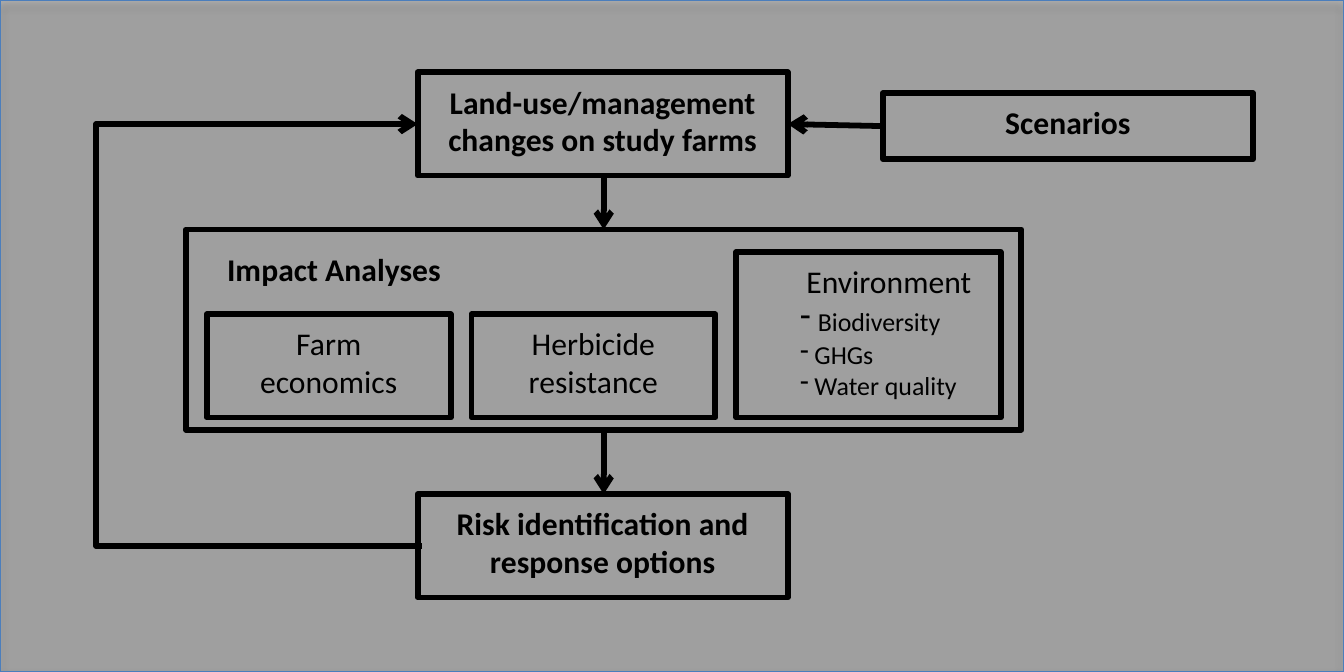
from dataclasses import dataclass
from typing import Any

from lxml.etree import SubElement
from pptx import Presentation
from pptx.dml.color import RGBColor
from pptx.enum.shapes import MSO_CONNECTOR, MSO_SHAPE
from pptx.enum.text import MSO_ANCHOR, MSO_AUTO_SIZE, PP_ALIGN
from pptx.oxml.ns import qn
from pptx.util import Inches, Pt


@dataclass(frozen=True)
class Theme:
    ink: RGBColor = RGBColor(0, 0, 0)
    edge: RGBColor = RGBColor(0x4B, 0x7E, 0xBC)
    font: str = "Calibri"
    body: float = 11
    small: float = 9
    stroke: float = 2
    thin: float = 0.75


THEME = Theme()
WIDTH, HEIGHT = 6.5, 3.25


@dataclass(frozen=True)
class Run:
    text: str
    size: float = THEME.body
    bold: bool = False


@dataclass(frozen=True)
class Para:
    runs: tuple[Run, ...]
    align: Any = PP_ALIGN.CENTER
    dash: bool = False
    indent: float = 0


@dataclass(frozen=True)
class Box:
    left: float
    top: float
    width: float
    height: float
    paras: tuple[Para, ...] = ()
    inset: float = 0.1


@dataclass(frozen=True)
class Arrow:
    start: tuple[float, float]
    end: tuple[float, float]


def plain(text: str, bold: bool = False, align: Any = PP_ALIGN.CENTER) -> tuple[Para, ...]:
    return (Para((Run(text, bold=bold),), align),)


def listed(*runs: Run) -> Para:
    return Para(runs, PP_ALIGN.LEFT, dash=True)


def apply(target: Any, values: dict[str, Any]) -> None:
    for name, value in values.items():
        setattr(target, name, value)


def child(parent: Any, tag: str, **values: Any) -> Any:
    return SubElement(parent, qn(tag), {key: str(value) for key, value in values.items()})


def write(frame: Any, box: Box) -> None:
    apply(frame, {
        "word_wrap": True,
        "auto_size": MSO_AUTO_SIZE.SHAPE_TO_FIT_TEXT,
        "vertical_anchor": MSO_ANCHOR.TOP,
        "margin_left": Inches(box.inset),
        "margin_top": Inches(0.05),
        "margin_right": Inches(0.1),
        "margin_bottom": Inches(0.08),
    })
    for index, item in enumerate(box.paras):
        para = frame.paragraphs[0] if index == 0 else frame.add_paragraph()
        para.alignment = item.align
        props = para._p.get_or_add_pPr()
        props.set("marL", str(Inches(item.indent)))
        props.set("indent", "0")
        if item.dash:
            child(props, "a:buChar", char="-")
        for part in item.runs:
            run = para.add_run()
            run.text = part.text
            apply(run.font, {"name": THEME.font, "size": Pt(part.size), "bold": part.bold})
            run.font.color.rgb = THEME.ink


def frame_of(box: Box) -> list[int]:
    return [Inches(side) for side in (box.left, box.top, box.width, box.height)]


def draw_box(slide: Any, box: Box) -> None:
    shape = slide.shapes.add_shape(MSO_SHAPE.RECTANGLE, *frame_of(box))
    shape.shadow.inherit = False
    shape.fill.background()
    shape.line.color.rgb = THEME.ink
    shape.line.width = Pt(THEME.stroke)
    if box.paras:
        write(shape.text_frame, box)


def draw_label(slide: Any, box: Box) -> None:
    write(slide.shapes.add_textbox(*frame_of(box)).text_frame, box)


def draw_arrow(slide: Any, arrow: Arrow, kind: Any = MSO_CONNECTOR.STRAIGHT) -> Any:
    ends = [Inches(value) for value in (*arrow.start, *arrow.end)]
    link = slide.shapes.add_connector(kind, *ends)
    link.line.color.rgb = THEME.ink
    link.line.width = Pt(THEME.stroke)
    child(link.line._get_or_add_ln(), "a:tailEnd", type="arrow")
    child(link._element.spPr, "a:effectLst")
    return link


def draw_loop(slide: Any, arrow: Arrow, bend: float) -> None:
    turned = Arrow(arrow.end, arrow.start)
    link = draw_arrow(slide, turned, MSO_CONNECTOR.ELBOW)
    shape = link._element.spPr
    shape.find(qn("a:xfrm")).set("rot", "10800000")
    ratio = (arrow.start[0] - bend) / (arrow.start[0] - arrow.end[0])
    guides = shape.find(qn("a:prstGeom")).find(qn("a:avLst"))
    child(guides, "a:gd", name="adj1", fmla=f"val {round(ratio * 100000)}")


def draw_shade(slide: Any) -> None:
    shade = slide.shapes.add_shape(MSO_SHAPE.RECTANGLE, *frame_of(Box(0, 0, WIDTH, HEIGHT)))
    shade.shadow.inherit = False
    shade.fill.solid()
    shade.fill.fore_color.rgb = THEME.ink
    shade.line.color.rgb = THEME.edge
    shade.line.width = Pt(THEME.thin)
    props = shade._element.spPr
    tint = props.find(qn("a:solidFill")).find(qn("a:srgbClr"))
    child(tint, "a:alpha", val=30000)
    cast = child(props.find(qn("a:effectLst")), "a:outerShdw", blurRad=Pt(3.1),
                 dist=Pt(1.8), dir=5400000, rotWithShape=0)
    child(child(cast, "a:srgbClr", val=THEME.ink), "a:alpha", val=35000)


SCENE = Box(4.27, 0.45, 1.79, 0.32, plain("Scenarios", True))
STEPS = [
    Box(2.02, top, 1.79, 0.5, plain(text, True))
    for top, text in ((0.35, "Land-use/management changes on study farms"),
                      (2.39, "Risk identification and response options"))
]
THEMES = [
    Box(1 + 1.28 * index, 1.52, 1.18, 0.5, plain(text))
    for index, text in enumerate(("Farm economics", "Herbicide resistance"))
]
NATURE = Box(3.56, 1.22, 1.28, 0.8, (
    Para((Run("Environment"),), PP_ALIGN.LEFT, indent=0.03),
    listed(Run(" "), Run("Biodiversity", THEME.small)),
    listed(Run(" GHGs", THEME.small)),
    listed(Run(" Water quality", THEME.small)),
), inset=0.31)
GROUP = Box(0.9, 1.11, 4.04, 0.97)
LABEL = Box(1, 1.16, 2.35, 0.32, plain("Impact Analyses", True, PP_ALIGN.LEFT))
ARROWS = [
    Arrow((4.27, 0.61), (3.81, 0.6)),
    Arrow((2.92, 0.85), (2.92, 1.11)),
    Arrow((2.92, 2.09), (2.92, 2.39)),
]
LOOP = Arrow((2.04, 2.64), (2.02, 0.6))


def main() -> None:
    deck = Presentation()
    apply(deck, {"slide_width": Inches(WIDTH), "slide_height": Inches(HEIGHT)})
    slide = deck.slides.add_slide(deck.slide_layouts[6])
    for box in (*STEPS, SCENE, *THEMES, NATURE, GROUP):
        draw_box(slide, box)
    draw_label(slide, LABEL)
    for arrow in ARROWS:
        draw_arrow(slide, arrow)
    draw_loop(slide, LOOP, bend=0.47)
    draw_shade(slide)
    deck.save("out.pptx")


if __name__ == "__main__":
    main()
